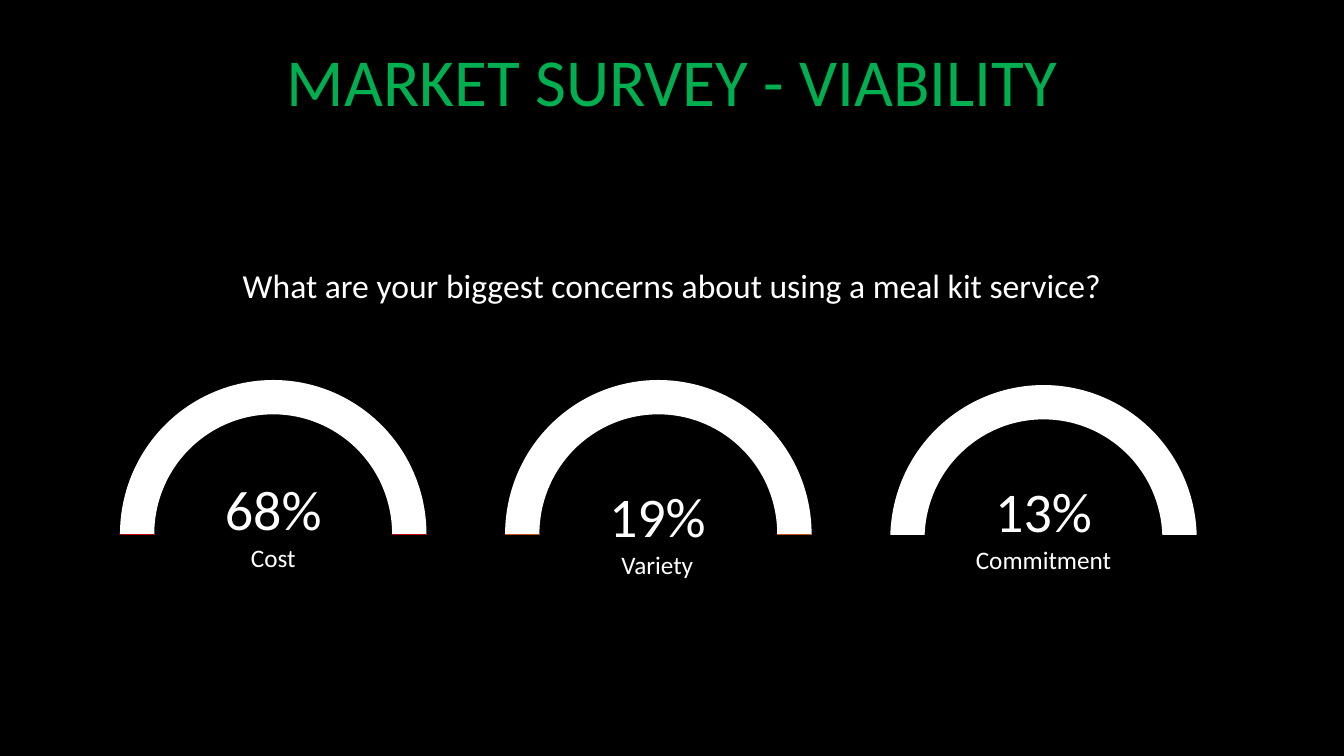
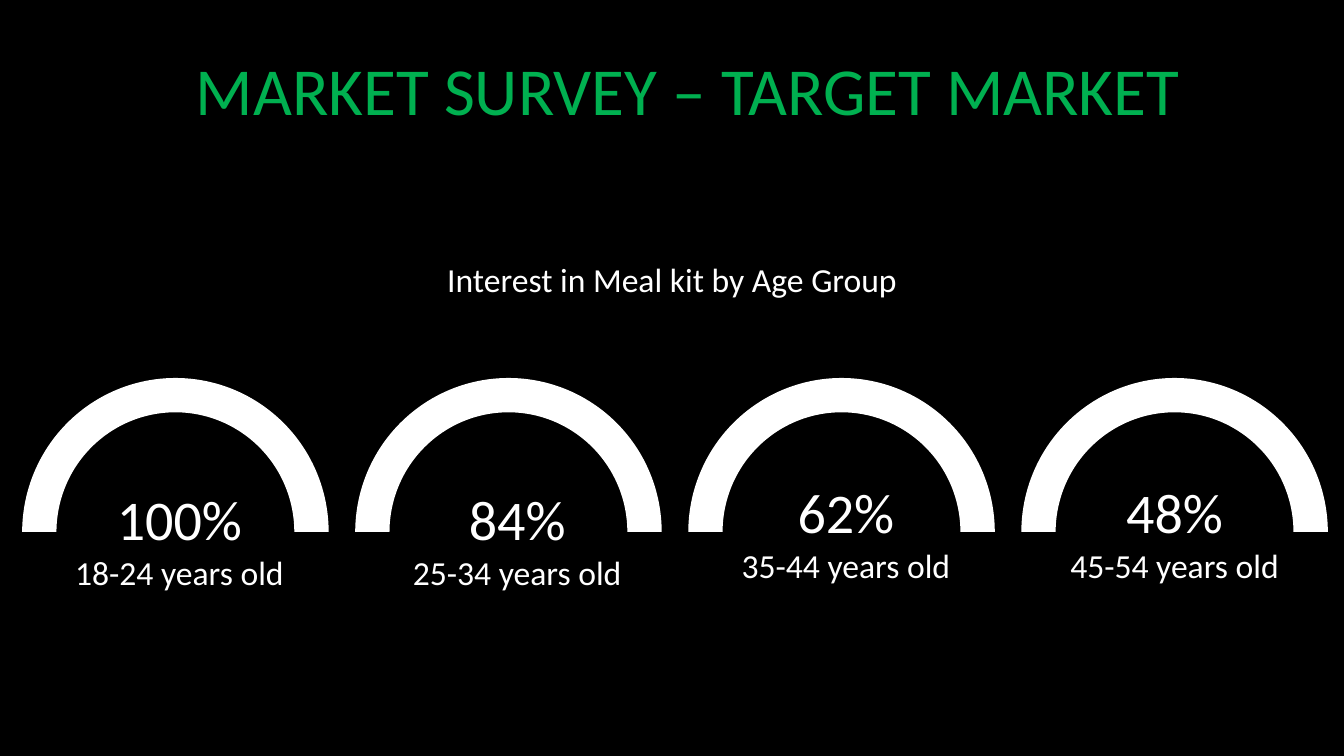
from dataclasses import dataclass

from pptx import Presentation
from pptx.dml.color import RGBColor
from pptx.enum.shapes import MSO_SHAPE
from pptx.enum.text import MSO_ANCHOR, MSO_AUTO_SIZE, PP_ALIGN
from pptx.util import Inches, Pt

DONUT, BLOCK_ARC, RECTANGLE = MSO_SHAPE.DONUT, MSO_SHAPE.BLOCK_ARC, MSO_SHAPE.RECTANGLE
CENTER, TOP, FIXED_SIZE = PP_ALIGN.CENTER, MSO_ANCHOR.TOP, MSO_AUTO_SIZE.NONE


@dataclass(frozen=True)
class Theme:
    font: str = "Calibri"
    background: str = "000000"
    text: str = "FFFFFF"
    title: str = "00B050"
    title_size: int = 48
    question_size: int = 24
    value_size: int = 40


THEME = Theme()
RING_WIDTH, RING_HEIGHT, RING_THICKNESS = 3.04, 3.06, 0.112
LABEL_HEIGHT = 1.38
TITLE_HEIGHT = 0.91
QUESTION_LEFT, QUESTION_WIDTH, QUESTION_HEIGHT = 0.44, 12.45, 0.5

# Boxes are (left, top, width, height) in inches. Each gauge has a value, a name,
# the top of its ring, the place of its label and the colour of its lower half.
SURVEYS = [
    {
        "title": "MARKET SURVEY - VIABILITY",
        "title_box": (1.66, 0.34, 10.02, TITLE_HEIGHT),
        "question": "What are your biggest concerns about using a meal kit service?",
        "question_top": 2.58,
        "name_size": 18,
        "ring_span": (1.19, 8.83),
        "mask": (0, 5.31, 13.33, 1.66),
        "gauges": [
            ("68%", "Cost", 3.77, (1.19, 4.66), "C00000"),
            ("19%", "Variety", 3.77, (5.0, 4.73), "C04F15"),
            ("13%", "Commitment", 3.82, (8.83, 4.68), None),
        ],
    },
    {
        "title": "MARKET SURVEY – TARGET MARKET",
        "title_box": (0.37, 0.43, 12.91, TITLE_HEIGHT),
        "question": "Interest in Meal kit by Age Group",
        "question_top": 2.52,
        "name_size": 24,
        "ring_span": (0.22, 10.13),
        "mask": (0.16, 5.28, 13.01, 1.66),
        "gauges": [
            ("100%", "18-24 years old", 3.75, (0.26, 4.76), None),
            ("84%", "25-34 years old", 3.75, (3.61, 4.76), None),
            ("62%", "35-44 years old", 3.75, (6.87, 4.69), None),
            ("48%", "45-54 years old", 3.75, (10.13, 4.69), None),
        ],
    },
]


def to_inches(box):
    return [Inches(length) for length in box]


def add_filled(page, kind, box, color):
    shape = page.shapes.add_shape(kind, *to_inches(box))
    shape.shadow.inherit = False
    shape.fill.solid()
    shape.fill.fore_color.rgb = RGBColor.from_string(color)
    shape.line.fill.background()
    return shape


def write_lines(frame, lines):
    """Fill a frame with centred paragraphs given as (text, size, color)."""
    frame.word_wrap = True
    frame.auto_size = FIXED_SIZE
    frame.vertical_anchor = TOP
    for index, (text, size, color) in enumerate(lines):
        para = frame.add_paragraph() if index else frame.paragraphs[0]
        para.alignment = CENTER
        span = para.add_run()
        span.text = text
        span.font.name = THEME.font
        span.font.size = Pt(size)
        span.font.color.rgb = RGBColor.from_string(color)


def add_text(page, box, lines):
    write_lines(page.shapes.add_textbox(*to_inches(box)).text_frame, lines)


def add_title(page, text, box):
    title = page.shapes.title
    title.left, title.top, title.width, title.height = to_inches(box)
    write_lines(title.text_frame, [(text, THEME.title_size, THEME.title)])


def add_ring(page, left, top, lower_color):
    box = (left, top, RING_WIDTH, RING_HEIGHT)
    ring = add_filled(page, DONUT, box, THEME.text)
    ring.adjustments[0] = RING_THICKNESS
    if lower_color:
        lower_half = add_filled(page, BLOCK_ARC, box, lower_color)
        # Angles are in 60000ths of a degree, scaled by 100000: 108 is 180 degrees.
        for index, value in enumerate((0, 108, RING_THICKNESS)):
            lower_half.adjustments[index] = value


def add_survey(deck, survey):
    page = deck.slides.add_slide(deck.slide_layouts[5])
    add_title(page, survey["title"], survey["title_box"])

    gauges = survey["gauges"]
    first, last = survey["ring_span"]
    pitch = (last - first) / (len(gauges) - 1)
    for index, (_, _, ring_top, _, lower_color) in enumerate(gauges):
        add_ring(page, first + index * pitch, ring_top, lower_color)
    add_filled(page, RECTANGLE, survey["mask"], THEME.background)

    question_box = (QUESTION_LEFT, survey["question_top"], QUESTION_WIDTH, QUESTION_HEIGHT)
    add_text(page, question_box, [(survey["question"], THEME.question_size, THEME.text)])
    for value, name, _, (left, top), _ in gauges:
        add_text(page, (left, top, RING_WIDTH, LABEL_HEIGHT), [
            (value, THEME.value_size, THEME.text),
            (name, survey["name_size"], THEME.text),
        ])


def main():
    deck = Presentation()
    deck.slide_width, deck.slide_height = Inches(13.33), Inches(7.5)
    backdrop = deck.slide_master.background.fill
    backdrop.solid()
    backdrop.fore_color.rgb = RGBColor.from_string(THEME.background)
    for survey in SURVEYS:
        add_survey(deck, survey)
    deck.save("out.pptx")


if __name__ == "__main__":
    main()
